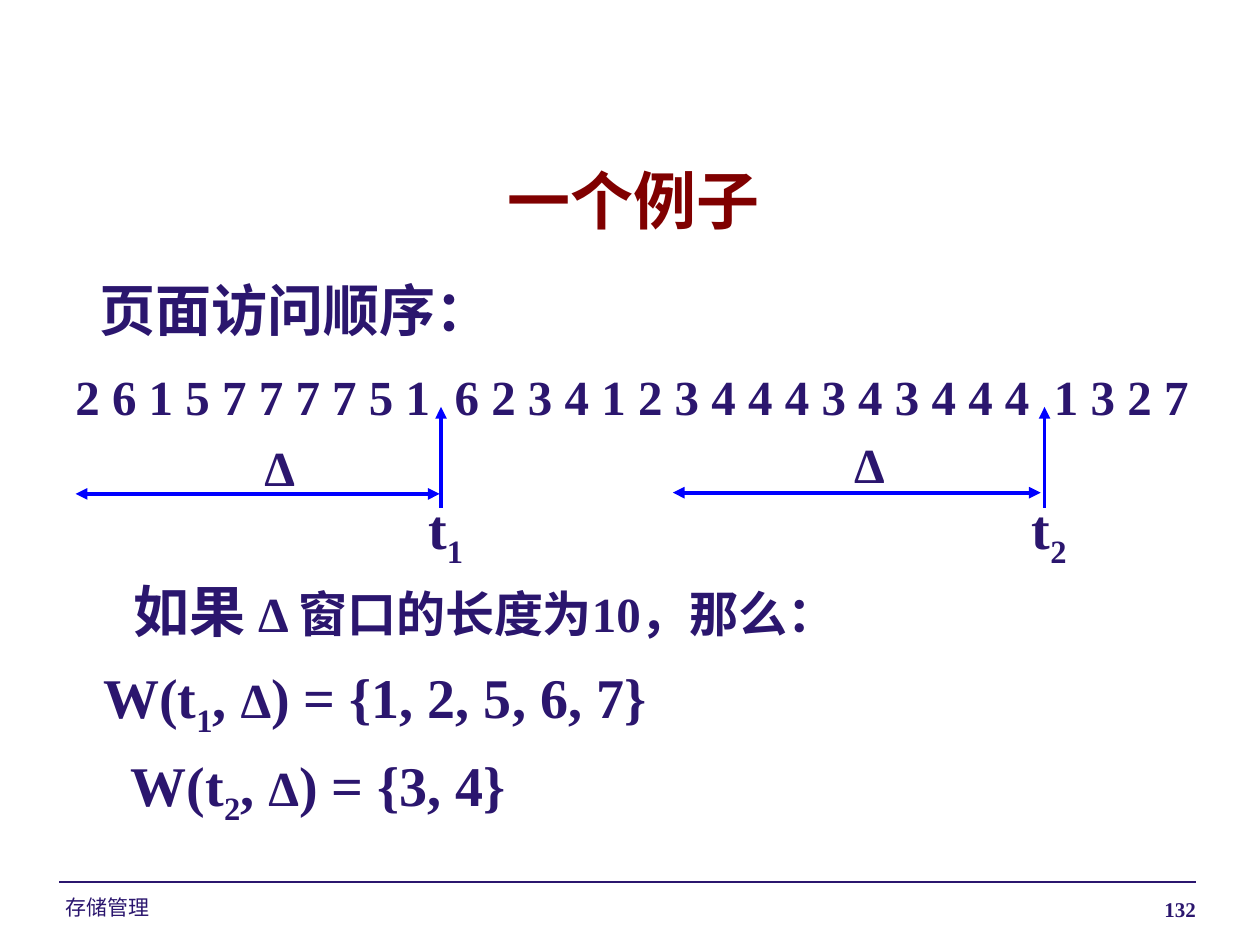
from lxml.etree import SubElement
from pptx import Presentation
from pptx.dml.color import RGBColor
from pptx.enum.shapes import MSO_CONNECTOR as Connector
from pptx.enum.text import PP_ALIGN as Align
from pptx.oxml.ns import qn
from pptx.util import Inches, Pt

WIDTH, HEIGHT = 10, 7.5
INK, TITLE, ARROW = "2B166E", "800000", "0000FF"
SERIF, SANS = "Times New Roman", "Arial"
SUBSCRIPT = "-25000"


def window_set(index, members):
    return [("W(t", 32), (index, 32, True), (", ", 32), ("Δ", 28), (f") = {{{members}}}", 32)]


LINES = [
    (0.69, 2.14, 3.32, 0.63, [("页面访问顺序：", 32)]),
    (0.5, 2.86, 9.1, 0.53,
     [("2 6 1 5 7 7 7 7 5 1  6 2 3 4 1 2 3 4 4 4 3 4 3 4 4 4  1 3 2 7", 28)]),
    (0.96, 4.53, 6.5, 0.63, [("如果 ", 32), ("Δ 窗口的长度为10，那么：", 28)]),
    (0.72, 5.21, 5, 0.63, window_set("1", "1, 2, 5, 6, 7")),
    (0.94, 5.91, 5, 0.63, window_set("2", "3, 4")),
]
WINDOWS = [
    {"index": "1", "start": 0.6, "end": 3.49, "time": 3.5, "level": 3.92, "delta": (2, 3.42)},
    {"index": "2", "start": 5.34, "end": 8.26, "time": 8.29, "level": 3.91, "delta": (6.68, 3.4)},
]


def rgb(code):
    return RGBColor.from_string(code)


def add_text(page, left, top, width, height, runs, color=INK, align=Align.LEFT,
             font=SERIF, bold=True, wrap=False):
    box = page.shapes.add_textbox(*map(Inches, (left, top, width, height)))
    box.text_frame.word_wrap = wrap
    para = box.text_frame.paragraphs[0]
    para.alignment = align
    for text, size, *lowered in runs:
        span = para.add_run()
        span.text = text
        span.font.size, span.font.name, span.font.bold = Pt(size), font, bold
        span.font.color.rgb = rgb(color)
        if lowered:
            span.font._element.set("baseline", SUBSCRIPT)


def add_line(page, start, end, color, weight, arrowheads=()):
    line = page.shapes.add_connector(Connector.STRAIGHT, *map(Inches, (*start, *end)))
    line.line.color.rgb = rgb(color)
    line.line.width = Pt(weight)
    outline = line.line._get_or_add_ln()
    for name in arrowheads:
        SubElement(outline, qn(f"a:{name}"), type="triangle")
    SubElement(line._element.spPr, qn("a:effectLst"))


def add_window(page, window):
    time, level = window["time"], window["level"]
    add_line(page, (window["start"], level), (window["end"], level), ARROW, 2.25,
             ("headEnd", "tailEnd"))
    add_line(page, (time, 4.03), (time, 3.23), ARROW, 2.25, ("tailEnd",))
    add_text(page, *window["delta"], 0.45, 0.57, [("Δ", 28)])
    add_text(page, time - 0.2, 3.87, 0.49, 0.63, [("t", 32), (window["index"], 32, True)])


def main():
    """Build the working-set example slide."""
    deck = Presentation()
    deck.slide_width, deck.slide_height = Inches(WIDTH), Inches(HEIGHT)
    page = deck.slides.add_slide(deck.slide_layouts[6])

    add_line(page, (0.47, 7), (9.49, 7), INK, 0.75)
    add_text(page, 0.42, 7.05, 2.33, 0.24, [("存储管理", 12)], font=SANS, bold=False, wrap=True)
    add_text(page, 6.42, 7.07, 3.17, 0.24, [("132", 12)], align=Align.RIGHT, wrap=True)
    add_text(page, 3.74, 1.23, 2.58, 0.71, [("一个例子", 36)], TITLE, Align.CENTER, wrap=True)
    for line in LINES:
        add_text(page, *line)
    for window in WINDOWS:
        add_window(page, window)

    deck.save("out.pptx")


if __name__ == "__main__":
    main()
